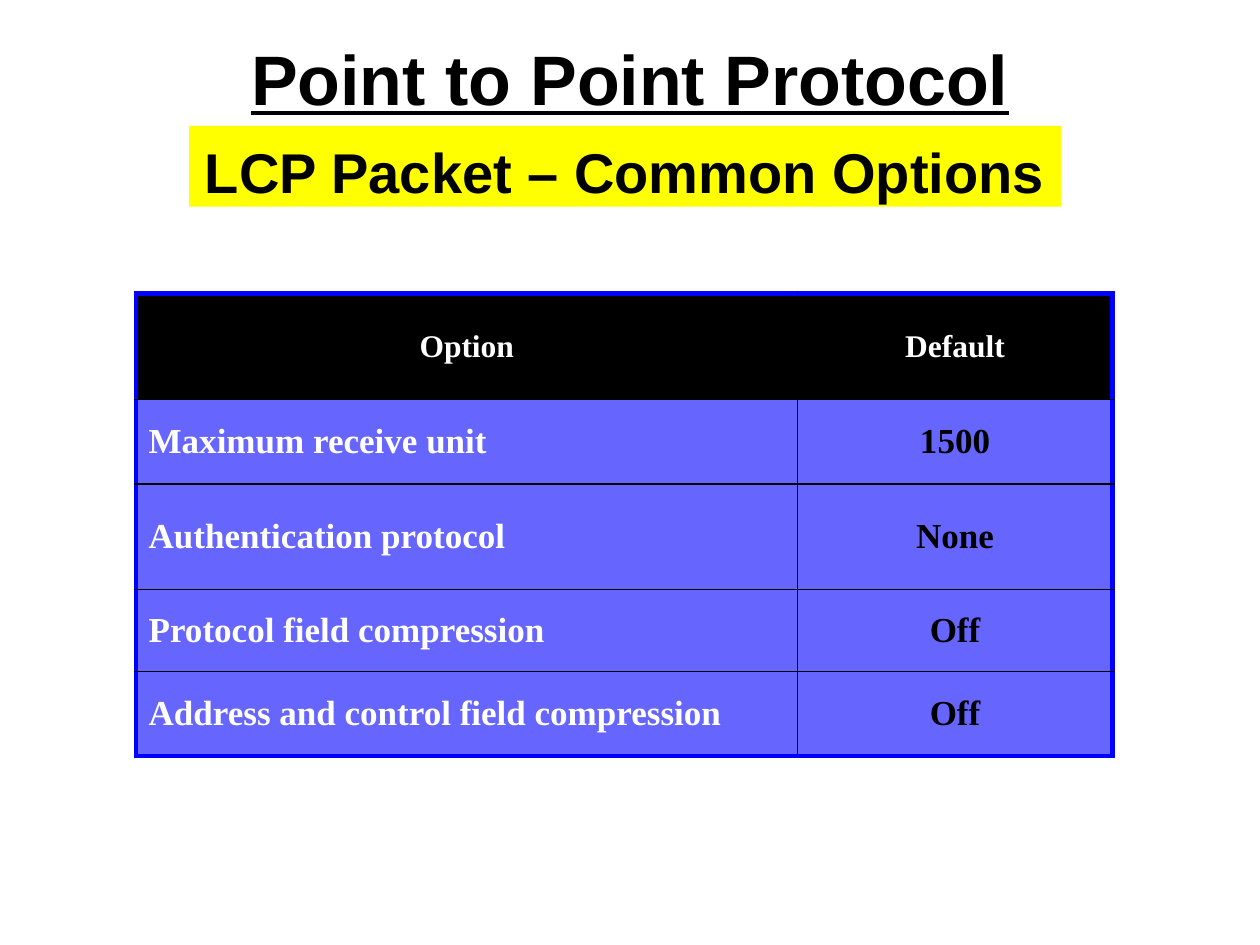
"""Build a slide listing the common LCP packet options and their defaults."""
from dataclasses import dataclass

import lxml.etree
import pptx
import pptx.dml.color
import pptx.enum.shapes
import pptx.enum.text
import pptx.oxml.ns
import pptx.util

Pt = pptx.util.Pt
ALIGN = pptx.enum.text.PP_ALIGN
ANCHOR = pptx.enum.text.MSO_ANCHOR


@dataclass(frozen=True)
class Theme:
    black: str = "000000"
    white: str = "FFFFFF"
    banner: str = "FFFF00"
    cell: str = "6666FF"
    frame: str = "0000FF"
    heading_font: str = "Arial"
    table_font: str = "Times New Roman"
    title: int = 40
    subtitle: int = 32
    header: int = 18
    body: int = 20
    frame_width: int = 3
    rule_width: int = 1


@dataclass(frozen=True)
class Option:
    name: str
    default: str
    height: float


THEME = Theme()
HEADER = Option("Option", "Default", 60.48)
OPTIONS = [
    Option("Maximum receive unit", "1500", 48.24),
    Option("Authentication protocol", "None", 60.48),
    Option("Protocol field compression", "Off", 46.8),
    Option("Address and control field compression", "Off", 48.24),
]
COLUMN_WIDTHS = (378, 180)


def rgb(color: str) -> pptx.dml.color.RGBColor:
    return pptx.dml.color.RGBColor.from_string(color)


def set_fill(target, color: str) -> None:
    target.fill.solid()
    target.fill.fore_color.rgb = rgb(color)


def write(tf, text: str, *, font: str, size: int, color: str = THEME.black,
          align=ALIGN.CENTER, underline: bool = False) -> None:
    tf.word_wrap = True
    p = tf.paragraphs[0]
    p.alignment = align
    r = p.add_run()
    r.text = text
    r.font.name, r.font.size = font, Pt(size)
    r.font.bold = True
    r.font.underline = underline
    r.font.color.rgb = rgb(color)


def add_border(cell, side: str, outer: bool) -> None:
    qn = pptx.oxml.ns.qn
    width = THEME.frame_width if outer else THEME.rule_width
    ln = lxml.etree.SubElement(cell._tc.get_or_add_tcPr(), qn(f"a:ln{side}"), w=str(Pt(width)))
    fill = lxml.etree.SubElement(ln, qn("a:solidFill"))
    lxml.etree.SubElement(fill, qn("a:srgbClr"), val=THEME.frame if outer else THEME.black)


def add_title(slide) -> None:
    tf = slide.shapes.add_textbox(Pt(18), Pt(12.24), Pt(684), Pt(90)).text_frame
    tf.margin_top = Pt(8)
    write(tf, "Point to Point Protocol", font=THEME.heading_font, size=THEME.title,
          underline=True)


def add_subtitle(slide) -> None:
    sp = slide.shapes.add_shape(pptx.enum.shapes.MSO_SHAPE.RECTANGLE,
                                Pt(108), Pt(72), Pt(498.24), Pt(46.08))
    sp.shadow.inherit = False
    set_fill(sp, THEME.banner)
    sp.line.fill.background()
    tf = sp.text_frame
    tf.vertical_anchor = ANCHOR.TOP
    tf.margin_top = Pt(6.5)
    tf.margin_bottom = Pt(0)
    write(tf, "LCP Packet – Common Options ", font=THEME.heading_font, size=THEME.subtitle)


def add_options(slide, rows: list[Option]) -> None:
    table = slide.shapes.add_table(len(rows), len(COLUMN_WIDTHS), Pt(77.76), Pt(167.76),
                                   Pt(sum(COLUMN_WIDTHS)),
                                   Pt(sum(row.height for row in rows))).table
    for column, width in zip(table.columns, COLUMN_WIDTHS):
        column.width = Pt(width)
    last_row, last_col = len(rows) - 1, len(COLUMN_WIDTHS) - 1
    for i, row in enumerate(rows):
        table.rows[i].height = Pt(row.height)
        header = i == 0
        for j, text in enumerate((row.name, row.default)):
            cell = table.cell(i, j)
            outer = {"L": j == 0, "R": j == last_col, "T": header, "B": i == last_row}
            for side, is_outer in outer.items():
                add_border(cell, side, is_outer)
            set_fill(cell, THEME.black if header else THEME.cell)
            cell.vertical_anchor = ANCHOR.MIDDLE
            write(cell.text_frame, text, font=THEME.table_font,
                  size=THEME.header if header else THEME.body,
                  color=THEME.white if header or j == 0 else THEME.black,
                  align=ALIGN.CENTER if header or j else ALIGN.LEFT)


def main() -> None:
    prs = pptx.Presentation()
    prs.slide_width, prs.slide_height = Pt(720), Pt(540)
    slide = prs.slides.add_slide(prs.slide_layouts[6])
    add_title(slide)
    add_subtitle(slide)
    add_options(slide, [HEADER, *OPTIONS])
    prs.save("out.pptx")


if __name__ == "__main__":
    main()
